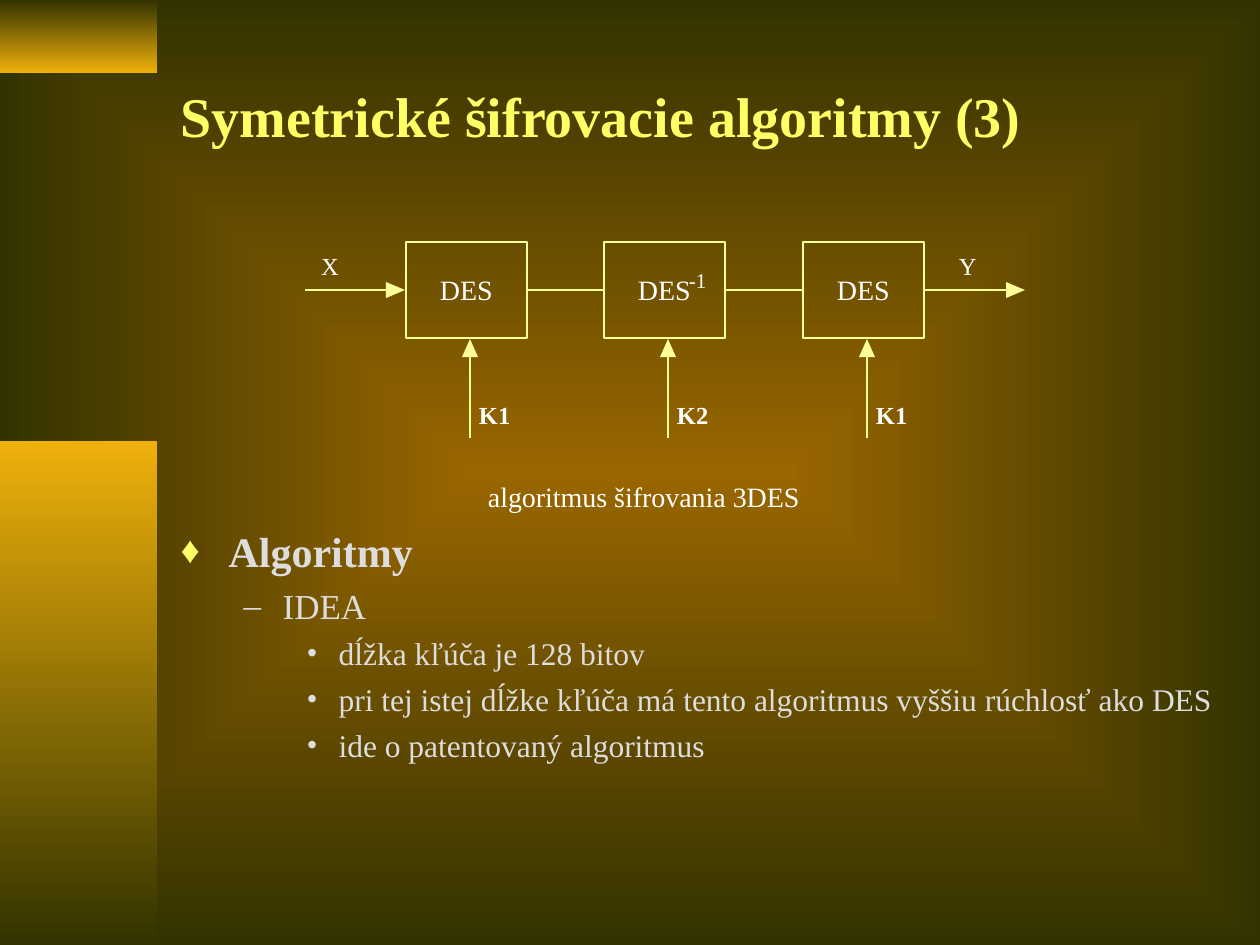
from lxml import etree
from pptx import Presentation
from pptx import util as u
from pptx.dml.color import RGBColor
from pptx.enum import shapes, text
from pptx.oxml import ns

OLIVE = RGBColor(0x33, 0x33, 0x00)
BROWN = RGBColor(0x99, 0x66, 0x00)
GOLD = RGBColor(0xEE, 0xB0, 0x0B)
YELLOW = RGBColor(0xFF, 0xFF, 0x66)
PALE = RGBColor(0xFF, 0xFF, 0x99)
GREY = RGBColor(0xDD, 0xDD, 0xDD)
WHITE = RGBColor(0xFF, 0xFF, 0xFF)

PX = 914400 / 126
# Per list level: bullet, bullet colour, bullet %, text size, space before, margin, hang
LEVELS = [
    ("♦", YELLOW, 90, 24, 6, 48, 48),
    ("–", GREY, 100, 20, 5, 102, 39),
    ("•", GREY, 100, 18, 4.5, 158, 32),
]


def px(length):
    return u.Emu(round(length * PX))


def add_xml(parent, tag, **attributes):
    return etree.SubElement(parent, ns.qn(tag), attributes)


def write(para, content, size=16, color=WHITE, bold=False):
    span = para.add_run()
    span.text = content
    font = span.font
    font.name, font.size, font.bold = "Times New Roman", u.Pt(size), bold
    font.color.rgb = color


class SlideBuilder:
    def __init__(self, page, line_color=PALE, line_width=1.45):
        self.page = page
        self.line_color = line_color
        self.line_width = u.Pt(line_width)

    def gradient(self, fill, first, last):
        fill.gradient()
        for stop, color in zip(fill.gradient_stops, (first, last)):
            stop.color.rgb = color

    def background(self, center, edge):
        self.gradient(self.page.background.fill, center, edge)
        linear = next(self.page.element.iter(ns.qn("a:lin")))
        gradient = linear.getparent()
        gradient.remove(linear)
        rays = add_xml(gradient, "a:path", path="rect")
        add_xml(rays, "a:fillToRect", l="50000", t="50000", r="50000", b="50000")

    def rectangle(self, left, top, width, height):
        box = self.page.shapes.add_shape(
            shapes.MSO_SHAPE.RECTANGLE, px(left), px(top), px(width), px(height))
        box.shadow.inherit = False
        return box

    def band(self, top, height, first, last):
        box = self.rectangle(0, top, 157, height)
        self.gradient(box.fill, first, last)
        box.fill.gradient_angle = 270
        box.line.fill.background()

    def block(self, left, top, width, height):
        box = self.rectangle(left, top, width, height)
        box.fill.background()
        box.line.color.rgb = self.line_color
        box.line.width = self.line_width

    def line(self, x1, y1, x2, y2):
        wire = self.page.shapes.add_connector(
            shapes.MSO_CONNECTOR.STRAIGHT, px(x1), px(y1), px(x2), px(y2))
        wire.line.color.rgb = self.line_color
        wire.line.width = self.line_width
        add_xml(wire.element.spPr, "a:effectLst")

    def head(self, *points):
        start, *others = [(px(x), px(y)) for x, y in points]
        builder = self.page.shapes.build_freeform(*start)
        builder.add_line_segments(others, close=True)
        triangle = builder.convert_to_shape()
        triangle.shadow.inherit = False
        triangle.fill.solid()
        triangle.fill.fore_color.rgb = self.line_color
        triangle.line.fill.background()

    def arrow_right(self, x, y, tip):
        self.line(x, y, tip - 14, y)
        self.head((tip, y), (tip - 19, y + 8), (tip - 19, y - 8))

    def arrow_up(self, x, y, tip):
        self.line(x, tip + 13, x, y)
        self.head((x, tip), (x + 8, tip + 18), (x - 8, tip + 18))

    def label(self, content, left, top, width, height, **style):
        box = self.page.shapes.add_textbox(px(left), px(top), px(width), px(height))
        frame = box.text_frame
        frame.margin_left = frame.margin_right = 0
        frame.margin_top = frame.margin_bottom = 0
        frame.word_wrap = False
        frame.auto_size = text.MSO_AUTO_SIZE.SHAPE_TO_FIT_TEXT
        write(frame.paragraphs[0], content, **style)

    def placeholder(self, index, left, top, width, height, anchor):
        holder = self.page.placeholders[index]
        holder.left, holder.top = px(left), px(top)
        holder.width, holder.height = px(width), px(height)
        frame = holder.text_frame
        frame.auto_size = text.MSO_AUTO_SIZE.NONE
        frame.vertical_anchor = anchor
        return frame

    def title(self, content):
        frame = self.placeholder(0, 168, 54, 1071, 123, text.MSO_ANCHOR.MIDDLE)
        para = frame.paragraphs[0]
        para.alignment = text.PP_ALIGN.LEFT
        write(para, content, size=32, color=YELLOW, bold=True)

    def bullets(self, items):
        frame = self.placeholder(1, 168, 519, 1071, 321, text.MSO_ANCHOR.TOP)
        for number, (level, content) in enumerate(items):
            para = frame.add_paragraph() if number else frame.paragraphs[0]
            mark, color, percent, size, before, margin, hang = LEVELS[level]
            para.level = level
            props = para._p.get_or_add_pPr()
            props.set("marL", str(px(margin)))
            props.set("indent", str(-px(hang)))
            add_xml(add_xml(props, "a:buClr"), "a:srgbClr", val=str(color))
            add_xml(props, "a:buSzPct", val=str(percent * 1000))
            add_xml(props, "a:buFont", typeface="Times New Roman")
            add_xml(props, "a:buChar", char=mark)
            para.space_before = u.Pt(before if number else 0)
            write(para, content, size=size, color=GREY, bold=level == 0)


def main():
    deck = Presentation()
    deck.slide_width, deck.slide_height = px(1260), px(945)
    slide = SlideBuilder(deck.slides.add_slide(deck.slide_layouts[1]))

    # Background and side bands
    slide.background(BROWN, OLIVE)
    slide.band(0, 73, OLIVE, GOLD)
    slide.band(441, 504, GOLD, OLIVE)

    # Title and list
    slide.title("Symetrické šifrovacie algoritmy (3)")
    slide.bullets([
        (0, "Algoritmy"),
        (1, "IDEA"),
        (2, "dĺžka kľúča je 128 bitov"),
        (2, "pri tej istej dĺžke kľúča má tento algoritmus vyššiu rúchlosť ako DES"),
        (2, "ide o patentovaný algoritmus"),
    ])

    # Cipher blocks, each with its key
    lefts, width, middle = (406, 604, 803), 121, 290
    for left, key in zip(lefts, ("K1", "K2", "K1")):
        slide.block(left, 242, width, 96)
        slide.label("DES", left + 34, 273, 53, 34)
        slide.arrow_up(left + 64, 438, 339)
        slide.label(key, left + 73, 400, 32, 29, size=14, bold=True)
    slide.label("-1", 689, 268, 18, 25, size=12)

    # Signal path
    for left, following in zip(lefts, lefts[1:]):
        slide.line(left + width + 1, middle, following - 1, middle)
    for name, label_left, start in (("X", 321, 305), ("Y", 959, 925)):
        slide.arrow_right(start, middle, start + 100)
        slide.label(name, label_left, 251, 18, 29, size=14)
    slide.label("algoritmus šifrovania 3DES", 488, 480, 312, 34)

    deck.save("out.pptx")


if __name__ == "__main__":
    main()
